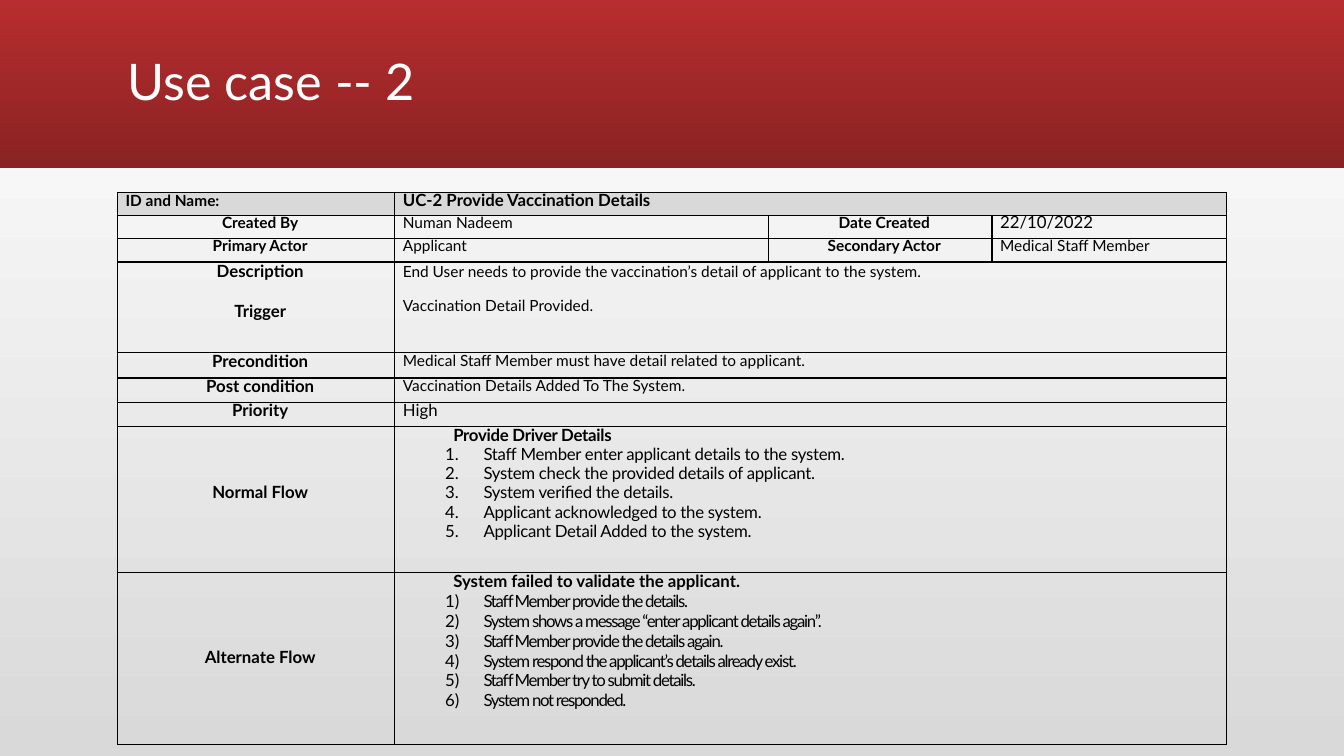
from dataclasses import dataclass
from typing import Optional

from lxml import etree
from pptx import Presentation
from pptx import util as u
from pptx.dml.color import RGBColor
from pptx.enum import shapes, text
from pptx.oxml.ns import qn

FONT = "Lato"
BLACK, WHITE, GREY = "000000", "FFFFFF", "D9D9D9"

prs = Presentation()
prs.slide_width, prs.slide_height = u.Inches(13.33), u.Inches(7.5)

# Grid: 160 columns by 150 rows
COLUMN, ROW = prs.slide_width / 160, prs.slide_height / 150
LEFT, WIDTH = 14, 132
BANNER_ROWS = 33.3


def across(columns: float) -> int:
    return round(columns * COLUMN)


def down(rows: float) -> int:
    return round(rows * ROW)


def color(value: str) -> RGBColor:
    return RGBColor.from_string(value)


@dataclass
class Line:
    text: str
    size: float = 11
    bold: bool = False
    center: bool = False
    leading: Optional[float] = None
    before: float = 0
    left: float = 0.08
    number: str = ""
    tracking: float = 0


@dataclass
class Cell:
    lines: list[Line]
    span: int = 1
    fill: str = ""
    top: float = 0


def label(words: str, size: float = 12, leading: float = 13, top: float = 0) -> Cell:
    return Cell([Line(words, size, True, True, leading)], top=top)


def value(words: str, leading: float, span: int = 1, size: float = 11) -> Cell:
    return Cell([Line(words, size, leading=leading)], span)


def flow(heading: str, steps: list[str], number: str, tracking: float, leading: float) -> Cell:
    return Cell([Line(heading, 12, True, leading=13.3, left=0.58, tracking=tracking if number == "arabicPeriod" else 0)]
                + [Line(step, 12, leading=leading, left=0.88, number=number, tracking=tracking)
                   for step in steps])


def fill_gradient(fill, top: str, bottom: str) -> None:
    fill.gradient()
    fill.gradient_angle = 270
    for stop, shade in zip(fill.gradient_stops, (top, bottom)):
        stop.color.rgb = color(shade)


def format_run(r, size: float, bold: bool, shade: str) -> None:
    r.font.name, r.font.size, r.font.bold = FONT, u.Pt(size), bold
    r.font.color.rgb = color(shade)


def write_line(p, line: Line) -> None:
    p.text = line.text
    p.alignment = text.PP_ALIGN.CENTER if line.center else text.PP_ALIGN.LEFT
    p.space_before = u.Pt(line.before)
    if line.leading:
        p.line_spacing = u.Pt(line.leading)
    pPr = p._p.get_or_add_pPr()
    pPr.set("marL", str(u.Inches(line.left)))
    if line.number:
        pPr.set("indent", str(u.Inches(-0.38)))
        etree.SubElement(pPr, qn("a:buAutoNum"), type=line.number)
    for r in p.runs:
        format_run(r, line.size, line.bold, BLACK)
        if line.tracking:
            r._r.get_or_add_rPr().set("spc", str(round(line.tracking * 100)))


def style_cell(cell, fill: str, top: float) -> None:
    cell.margin_left = cell.margin_right = cell.margin_bottom = 0
    cell.margin_top = u.Inches(top)
    tcPr = cell._tc.get_or_add_tcPr()
    for side in ("a:lnL", "a:lnR", "a:lnT", "a:lnB"):
        ln = etree.SubElement(tcPr, qn(side), w=str(u.Pt(1)))
        solid = etree.SubElement(ln, qn("a:solidFill"))
        etree.SubElement(solid, qn("a:srgbClr"), val=BLACK)
    if fill:
        cell.fill.solid()
        cell.fill.fore_color.rgb = color(fill)
    else:
        cell.fill.background()


def draw_table(slide, top: float, columns: list[float], heights: list[float],
               rows: list[list[Cell]]) -> None:
    frame = slide.shapes.add_table(len(heights), len(columns), across(LEFT), down(top),
                                   across(WIDTH), down(sum(heights)))
    table = frame.table
    table.first_row = table.horz_banding = False
    for column, width in zip(table.columns, columns):
        column.width = across(width)
    for row, height in zip(table.rows, heights):
        row.height = down(height)
    for i, cells in enumerate(rows):
        j = 0
        for item in cells:
            for k in range(j, j + item.span):
                style_cell(table.cell(i, k), item.fill, item.top)
            cell = table.cell(i, j)
            if item.span > 1:
                cell.merge(table.cell(i, j + item.span - 1))
            tf = cell.text_frame
            for n, line in enumerate(item.lines):
                write_line(tf.add_paragraph() if n else tf.paragraphs[0], line)
            j += item.span


# Background and banner
slide = prs.slides.add_slide(prs.slide_layouts[6])
fill_gradient(slide.background.fill, WHITE, GREY)
banner = slide.shapes.add_shape(shapes.MSO_SHAPE.RECTANGLE, 0, 0, prs.slide_width, down(BANNER_ROWS))
banner.shadow.inherit = False
fill_gradient(banner.fill, "B82D2F", "8A2223")
banner.line.fill.background()

# Title
title = slide.shapes.add_textbox(across(LEFT), down(2.2), across(WIDTH), down(29))
tf = title.text_frame
tf.word_wrap = True
tf.vertical_anchor = text.MSO_ANCHOR.MIDDLE
tf.text = "Use case -- 2"
tf.paragraphs[0].line_spacing = 0.9
format_run(tf.paragraphs[0].runs[0], 36, False, WHITE)

# Summary of the use case
SUMMARY_TOP = 38.2
SUMMARY_HEIGHTS = [4.6, 4.6, 4.6, 18, 5]
draw_table(slide, SUMMARY_TOP, [33, 44.5, 26.6, 27.9], SUMMARY_HEIGHTS, [
    [Cell([Line("ID and Name:", bold=True, leading=12.4)], fill=GREY),
     Cell([Line("UC-2 Provide Vaccination Details", 12, True, leading=12.8)], 3, GREY)],
    [label("Created By", 11, 11.7), value("Numan Nadeem", 11.7),
     label("Date Created", 11, 11.7), value("22/10/2022", 11.7, size=12)],
    [label("Primary Actor", 11, 11.7), value("Applicant", 11.7),
     label("Secondary Actor", 11, 11.7), value("Medical Staff Member", 11.7)],
    [Cell([Line("Description", 12, True, True, 13.5),
           Line("Trigger", 12, True, True, before=14.4)]),
     Cell([Line("End User needs to provide the vaccination’s detail of applicant to the system."),
           Line("Vaccination Detail Provided.", leading=12.5, before=12)], 3)],
    [label("Precondition"),
     value("Medical Staff Member must have detail related to applicant.", 12.3, 3)],
])

# Flows of the use case
draw_table(slide, SUMMARY_TOP + sum(SUMMARY_HEIGHTS), [33, 99], [4.8, 4.8, 29, 34.2], [
    [label("Post condition"), value("Vaccination Details Added To The System.", 12.2)],
    [label("Priority", leading=12.7), value("High", 12.7, size=12)],
    [label("Normal Flow", leading=13.5, top=0.56),
     flow("Provide Driver Details", [
         "Staff Member enter applicant details to the system.",
         "System check the provided details of applicant.",
         "System verified the details.",
         "Applicant acknowledged to the system.",
         "Applicant Detail Added to the system.",
     ], "arabicPeriod", -0.2, 13.7)],
    [label("Alternate Flow", leading=13.5, top=0.75),
     flow("System failed to validate the applicant.", [
         "Staff Member provide the details.",
         "System shows a message “enter applicant details again”.",
         "Staff Member provide the details again.",
         "System respond the applicant’s details already exist.",
         "Staff Member try to submit details.",
         "System not responded.",
     ], "arabicParenR", -0.9, 14.2)],
])

prs.save("out.pptx")
